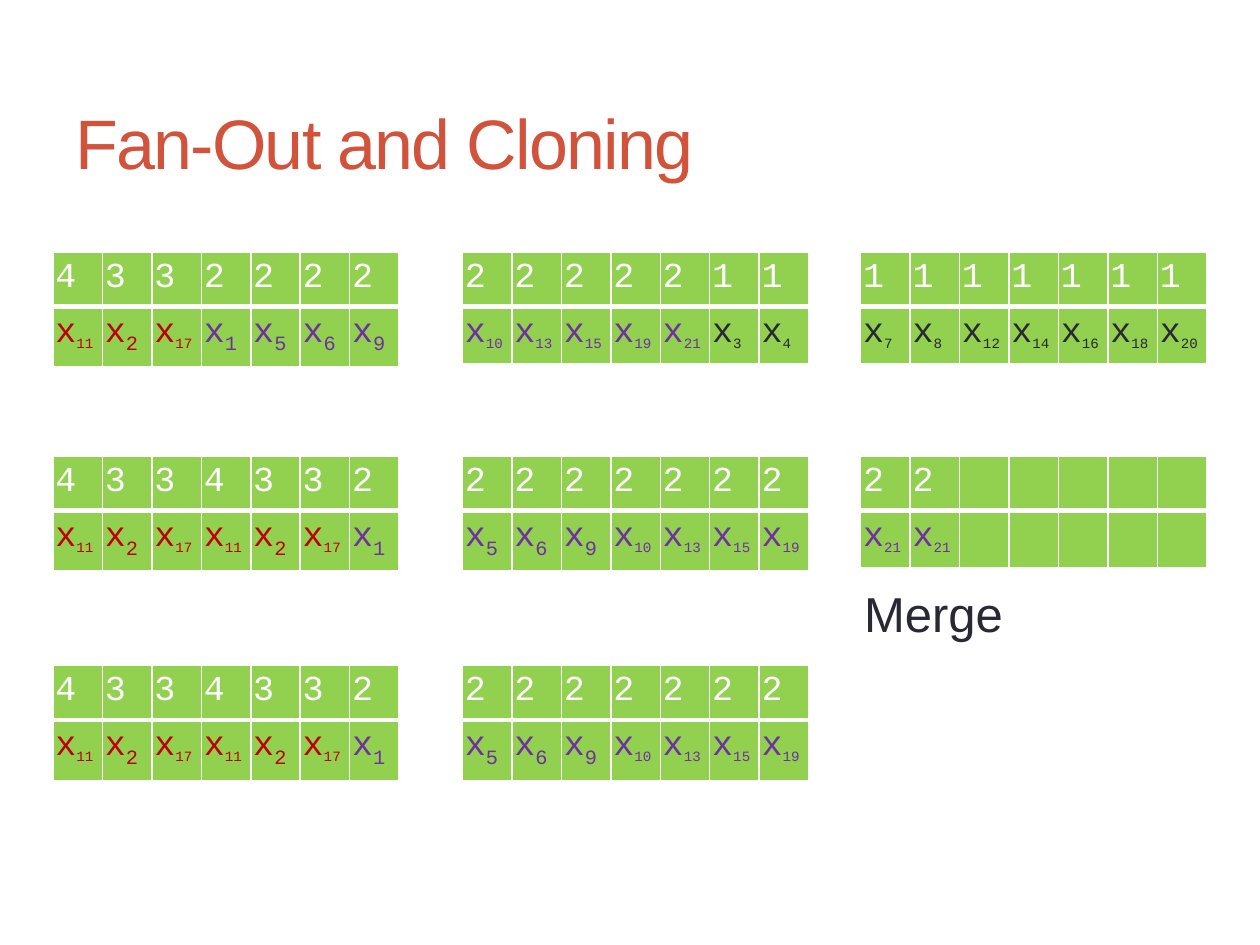
from lxml import etree
from pptx import Presentation
from pptx.dml.color import RGBColor
from pptx.enum.text import MSO_ANCHOR
from pptx.oxml.ns import qn
from pptx.util import Inches, Pt

MIDDLE = MSO_ANCHOR.MIDDLE
TOP = MSO_ANCHOR.TOP

COLORS = {
    "title": "D2533C",
    "text": "292934",
    "cell": "92D050",
    "white": "FFFFFF",
    "high": "C00000",
    "medium": "7030A0",
}
BODY_FONT = "Arial"
CODE_FONT = "Courier New"

SLOTS = 7
COLUMN_LEFTS = [0.42, 3.67, 6.83]
CLONED = [
    [(4, 11), (3, 2), (3, 17), (4, 11), (3, 2), (3, 17), (2, 1)],
    [(2, index) for index in (5, 6, 9, 10, 13, 15, 19)],
]
# Each block holds (fan-out, variable index) pairs.
BLOCK_ROWS = [
    (2.0, [
        [(4, 11), (3, 2), (3, 17), (2, 1), (2, 5), (2, 6), (2, 9)],
        [(2, 10), (2, 13), (2, 15), (2, 19), (2, 21), (1, 3), (1, 4)],
        [(1, index) for index in (7, 8, 12, 14, 16, 18, 20)],
    ]),
    (3.62, CLONED + [[(2, 21), (2, 21)]]),
    (5.28, CLONED),
]


def fan_out_color(fan_out):
    if fan_out > 2:
        return "high"
    return "medium" if fan_out == 2 else "text"


class SlideBuilder:
    def __init__(self, slide):
        self.slide = slide

    def run(self, paragraph, text, size, color, font, spacing=0, baseline=0):
        """Add one run; spacing is in points and baseline in percent."""
        run = paragraph.add_run()
        run.text = text
        run.font.size = Pt(size)
        run.font.name = font
        run.font.bold = False
        run.font.color.rgb = RGBColor.from_string(COLORS[color])
        properties = run.font._element
        if spacing:
            properties.set("spc", str(spacing * 100))
        if baseline:
            properties.set("baseline", str(baseline * 1000))

    def label(self, text, left, top, width, height, size, color,
              wrap=True, anchor=TOP, spacing=0):
        box = self.slide.shapes.add_textbox(
            Inches(left), Inches(top), Inches(width), Inches(height))
        frame = box.text_frame
        frame.word_wrap = wrap
        frame.vertical_anchor = anchor
        self.run(frame.paragraphs[0], text, size, color, BODY_FONT, spacing)

    def borders(self, cell, top, bottom):
        """Draw white borders, 1 pt at the sides."""
        properties = cell._tc.get_or_add_tcPr()
        for side, width in (("L", 1), ("R", 1), ("T", top), ("B", bottom)):
            line = etree.SubElement(
                properties, qn(f"a:ln{side}"), w=str(Pt(width)))
            fill = etree.SubElement(line, qn("a:solidFill"))
            etree.SubElement(fill, qn("a:srgbClr"), val=COLORS["white"])

    def style_cell(self, cell, top, bottom):
        cell.margin_left = cell.margin_right = Inches(0.02)
        cell.margin_top = cell.margin_bottom = Inches(0.05)
        self.borders(cell, top, bottom)
        cell.fill.solid()
        cell.fill.fore_color.rgb = RGBColor.from_string(COLORS["cell"])

    def block(self, entries, left, top):
        """Draw one memory block: fan-outs above, variables below."""
        table = self.slide.shapes.add_table(
            2, SLOTS, Inches(left), Inches(top),
            Inches(2.75), Inches(0.82)).table
        table.horz_banding = False
        for slot in range(SLOTS):
            self.style_cell(table.cell(0, slot), top=1, bottom=3)
            self.style_cell(table.cell(1, slot), top=3, bottom=1)
        for slot, (fan_out, index) in enumerate(entries):
            count, variable = (table.cell(row, slot).text_frame.paragraphs[0]
                               for row in range(2))
            color = fan_out_color(fan_out)
            index_size = 20 if fan_out > 1 and index < 10 else 14
            self.run(count, str(fan_out), 20, "white", CODE_FONT)
            self.run(variable, "x", 20, color, CODE_FONT)
            self.run(variable, str(index), index_size, color, CODE_FONT,
                     baseline=-25)


def main():
    presentation = Presentation()
    presentation.slide_width = Inches(10)
    presentation.slide_height = Inches(7.5)
    builder = SlideBuilder(
        presentation.slides.add_slide(presentation.slide_layouts[6]))

    builder.label("Fan-Out and Cloning", 0.5, 0.58, 9, 1.08, 40, "title",
                  anchor=MIDDLE, spacing=-1)
    for top, blocks in BLOCK_ROWS:
        for left, entries in zip(COLUMN_LEFTS, blocks):
            builder.block(entries, left, top)
    builder.label("Merge", 6.76, 4.58, 1.32, 0.57, 28, "text", wrap=False)

    presentation.save("out.pptx")


if __name__ == "__main__":
    main()
